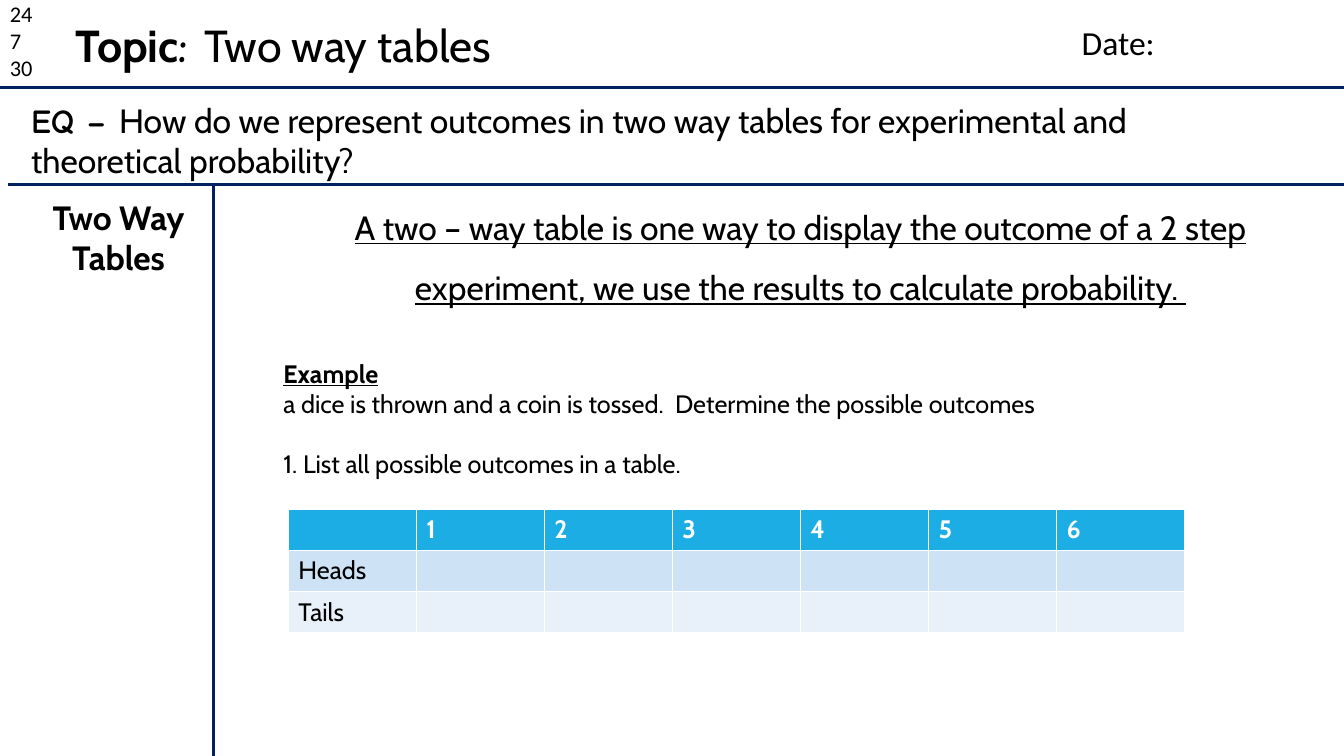
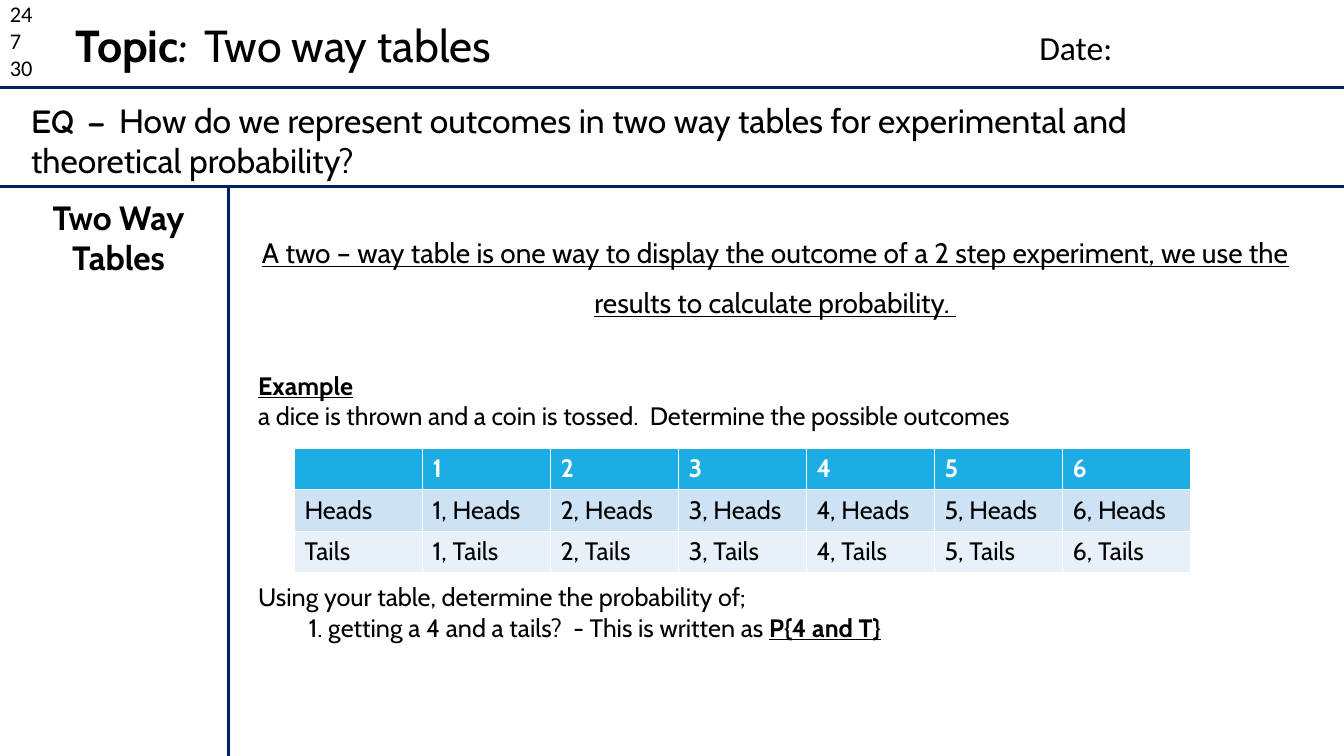
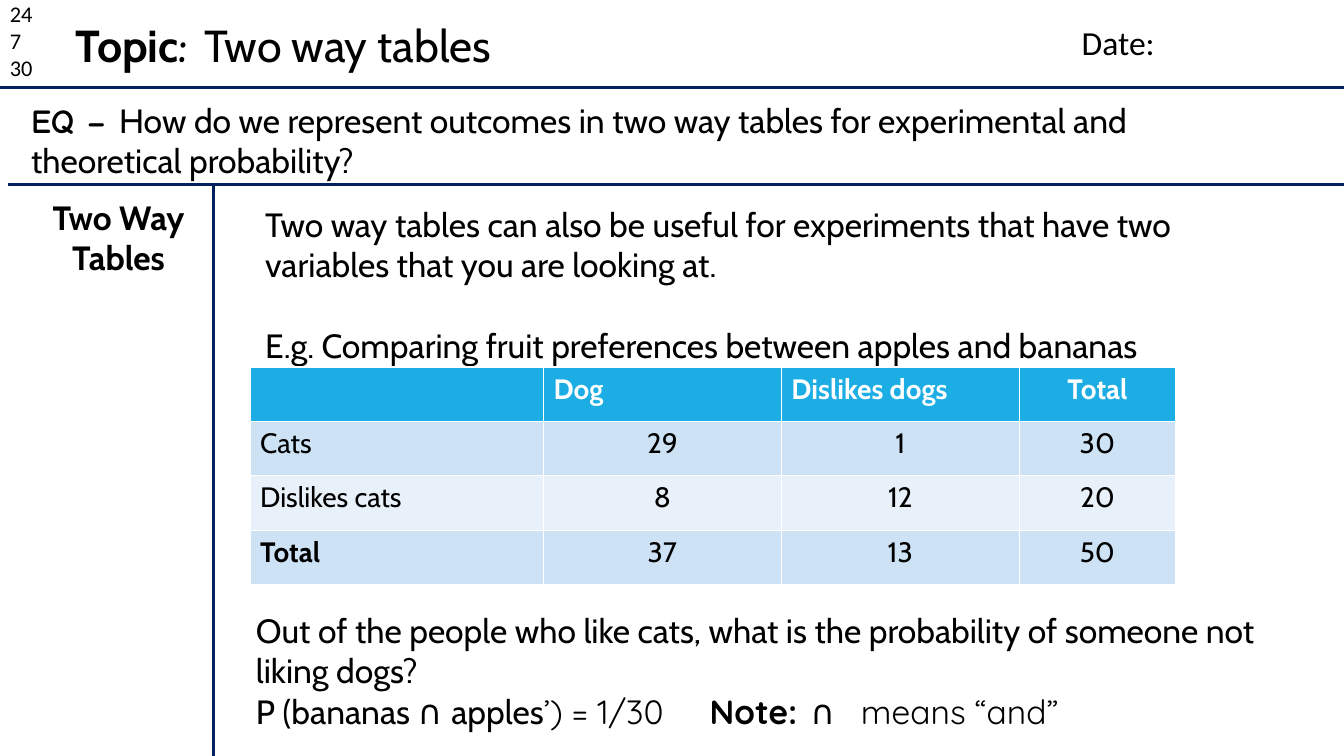
from lxml import etree
from pptx import Presentation
from pptx.dml.color import RGBColor
from pptx.enum import text
from pptx.oxml import ns
from pptx.util import Inches, Pt

COLORS = {"ink": "000000", "rule": "002060", "head": "1CADE4",
          "odd": "CDE3F5", "even": "E8F1FA", "white": "FFFFFF"}
CABIN, COMIC, QUICK, CALIBRI = "Cabin", "Comic Neue", "Quicksand", "Calibri"
CENTER = text.PP_ALIGN.CENTER

# A paragraph is a dict: runs are (text, font overrides), the rest are paragraph settings.
TOPIC = [dict(size=32, runs=[("Topic", dict(bold=True)),
                             (": ", dict(name=COMIC, bold=True)),
                             ("Two way tables", dict(bold=False))])]
QUESTION = [dict(size=24, runs=[
    ("EQ – ", dict(name=COMIC, bold=True)),
    ("How do we represent outcomes in two way tables for experimental "
     "and theoretical probability?", {})])]
COUNTS = [dict(size=16, name=CALIBRI, runs=[(n, {})]) for n in ("24", "7", "30")]
DATE = [dict(size=24, name=CALIBRI, runs=[("Date:", {})])]
SIDEBAR = [dict(size=24, bold=True, align=CENTER, runs=[("Two Way Tables", {})])]


def example(definition_size):
    return [
        dict(size=definition_size, underline=True, align=CENTER, spacing=1.5, runs=[
            ("A two – way table is one way to display the outcome of a 2 step experiment, "
             "we use the results to calculate probability. ", {})]),
        dict(size=18, bold=True, underline=True, before=36, runs=[("Example", {})]),
        dict(size=18, runs=[("a dice is thrown and a coin is tossed.  "
                             "Determine the possible outcomes", {})]),
    ]


LISTING = example(24) + [
    dict(size=18, before=21.6, runs=[("1. List all possible outcomes in a table.", {})])]
PROBABILITY = example(20) + [
    dict(size=18, before=108, runs=[("Using your table, determine the probability of;", {})]),
    dict(size=18, indent=0.5, runs=[
        ("1. getting a 4 and a tails?  - This is written as ", {}),
        ("P{4 and T}", dict(bold=True, underline=True))])]
VARIABLES = [
    dict(size=24, runs=[("Two way tables can also be useful for experiments that have two "
                         "variables that you are looking at.", {})]),
    dict(size=24, before=28.8, runs=[
        ("E.g. Comparing fruit preferences between apples and bananas", {})])]
ANSWER = [
    dict(size=24, runs=[("Out of the people who like cats, what is the probability of "
                         "someone not liking dogs?", {})]),
    dict(size=24, tabs=(4.86, 5.94, 6.34), runs=[
        ("P (bananas ", {}), ("∩ ", dict(name=QUICK)), ("apples", {}),
        ("’) = 1/30\t", dict(name=QUICK)), ("Note:\t", dict(name=QUICK, bold=True)),
        ("∩\tmeans “and”", dict(name=QUICK))])]

DICE = [str(n) for n in range(1, 7)]
COIN = ("Heads", "Tails")
BLANK_OUTCOMES = [[""] + DICE] + [[side] + [""] * 6 for side in COIN]
OUTCOMES = [[""] + DICE] + [[side] + [f"{n}, {side}" for n in DICE] for side in COIN]
PETS = [["", "Dog", "Dislikes dogs", "Total"],
        ["Cats", "29", "1", "30"],
        ["Dislikes cats", "8", "12", "20"],
        ["Total", "37", "13", "50"]]
OUTCOME_GRID = dict(widths=[1.27] * 7, row_height=0.41, size=18)

SLIDES = [
    dict(divider=(2.12, 1.83), rule_left=0.08, date=(10.63, 0.17),
         body=LISTING, body_at=(2.81, 1.85, 10.26, 5.65),
         table=dict(rows=BLANK_OUTCOMES, at=(2.86, 5.05), **OUTCOME_GRID)),
    dict(divider=(2.27, 1.85), rule_left=0, date=(10.21, 0.22),
         body=PROBABILITY, body_at=(2.56, 2.17, 10.26, 4.54),
         table=dict(rows=OUTCOMES, at=(2.92, 4.45), **OUTCOME_GRID)),
    dict(divider=(2.12, 1.83), rule_left=0.08, date=(10.63, 0.17),
         body=VARIABLES, body_at=(2.63, 2.02, 10.26, 4.24),
         table=dict(rows=PETS, at=(2.48, 3.64), widths=[2.91, 2.36, 2.36, 1.55],
                    row_height=0.54, size=20,
                    centered=lambda row, col: col == 3 or (row and col)),
         answer=ANSWER),
]


def rgb(key):
    return RGBColor.from_string(COLORS[key])


def set_font(font, size, name=CABIN, bold=False, underline=False, color="ink"):
    font.size, font.name, font.bold, font.underline = Pt(size), name, bold, underline
    font.color.rgb = rgb(color)


def add_tabs(props, stops):
    tab_list = etree.SubElement(props, ns.qn("a:tabLst"))
    for stop in stops:
        etree.SubElement(tab_list, ns.qn("a:tab"), pos=str(Inches(stop)), algn="l")


def write(frame, paragraphs):
    for i, item in enumerate(paragraphs):
        paragraph = frame.paragraphs[0] if i == 0 else frame.add_paragraph()
        props = paragraph._p.get_or_add_pPr()
        props.set("marL", str(Inches(item.get("indent", 0))))
        props.set("indent", "0")
        etree.SubElement(props, ns.qn("a:buNone"))
        if "tabs" in item:
            add_tabs(props, item["tabs"])
        paragraph.alignment = item.get("align", text.PP_ALIGN.LEFT)
        paragraph.line_spacing = item.get("spacing", 1.0)
        paragraph.space_before = Pt(item.get("before", 0))
        style = {k: item[k] for k in ("size", "name", "bold", "underline") if k in item}
        uniform = not any(changes for _, changes in item["runs"])
        if uniform:
            set_font(paragraph.font, **style)
        for words, changes in item["runs"]:
            run = paragraph.add_run()
            run.text = words
            if not uniform:
                set_font(run.font, **{**style, **changes})


def fill_box(shape, paragraphs, at, margins=True):
    shape.left, shape.top, shape.width, shape.height = map(Inches, at)
    frame = shape.text_frame
    frame.word_wrap = True
    frame.auto_size = text.MSO_AUTO_SIZE.NONE
    frame.vertical_anchor = text.MSO_ANCHOR.TOP
    if not margins:
        frame.margin_left = frame.margin_right = frame.margin_top = frame.margin_bottom = 0
    write(frame, paragraphs)


def add_text(slide, paragraphs, at):
    fill_box(slide.shapes.add_textbox(0, 0, 0, 0), paragraphs, at)


def add_rule(slide, *ends):
    rule = slide.shapes.add_connector(1, *map(Inches, ends))
    rule.line.color.rgb = rgb("rule")
    rule.line.width = Pt(2.25)
    etree.SubElement(rule._element.spPr, ns.qn("a:effectLst"))


def add_grid(slide, rows, at, widths, row_height, size, centered=lambda row, col: False):
    left, top = at
    grid = slide.shapes.add_table(
        len(rows), len(widths), Inches(left), Inches(top),
        Inches(sum(widths)), Inches(row_height * len(rows))).table
    for col, width in enumerate(widths):
        grid.columns[col].width = Inches(width)
    for r, values in enumerate(rows):
        grid.rows[r].height = Inches(row_height)
        for c, value in enumerate(values):
            cell = grid.cell(r, c)
            cell.fill.solid()
            cell.fill.fore_color.rgb = rgb("head" if r == 0 else "odd" if r % 2 else "even")
            cell.text = value
            paragraph = cell.text_frame.paragraphs[0]
            if centered(r, c):
                paragraph.alignment = CENTER
            set_font(paragraph.font, size, bold=r == 0 or value == "Total",
                     color="ink" if r else "white")


def add_page(deck, page):
    slide = deck.slides.add_slide(deck.slide_layouts[1])
    title, body = slide.placeholders
    divider_x, divider_y = page["divider"]
    add_rule(slide, 0, 0.87, 13.33, 0.87)
    add_rule(slide, page["rule_left"], divider_y, 13.33, divider_y)
    add_rule(slide, divider_x, divider_y, divider_x, 7.5)
    fill_box(title, TOPIC, (0.65, 0.13, 5.44, 0.64))
    fill_box(body, page["body"], page["body_at"], margins=False)
    add_text(slide, COUNTS, (0, -0.05, 0.63, 0.91))
    add_text(slide, DATE, (*page["date"], 2.36, 0.5))
    add_text(slide, QUESTION, (0.21, 0.94, 11.6, 0.91))
    add_text(slide, SIDEBAR, (0.08, 1.9, 2.19, 0.91))
    add_grid(slide, **page["table"])
    if "answer" in page:
        add_text(slide, page["answer"], (2.44, 6, 10.55, 1.31))


def main():
    deck = Presentation()
    deck.slide_width, deck.slide_height = Inches(13.33), Inches(7.5)
    for page in SLIDES:
        add_page(deck, page)
    deck.save("out.pptx")


if __name__ == "__main__":
    main()
